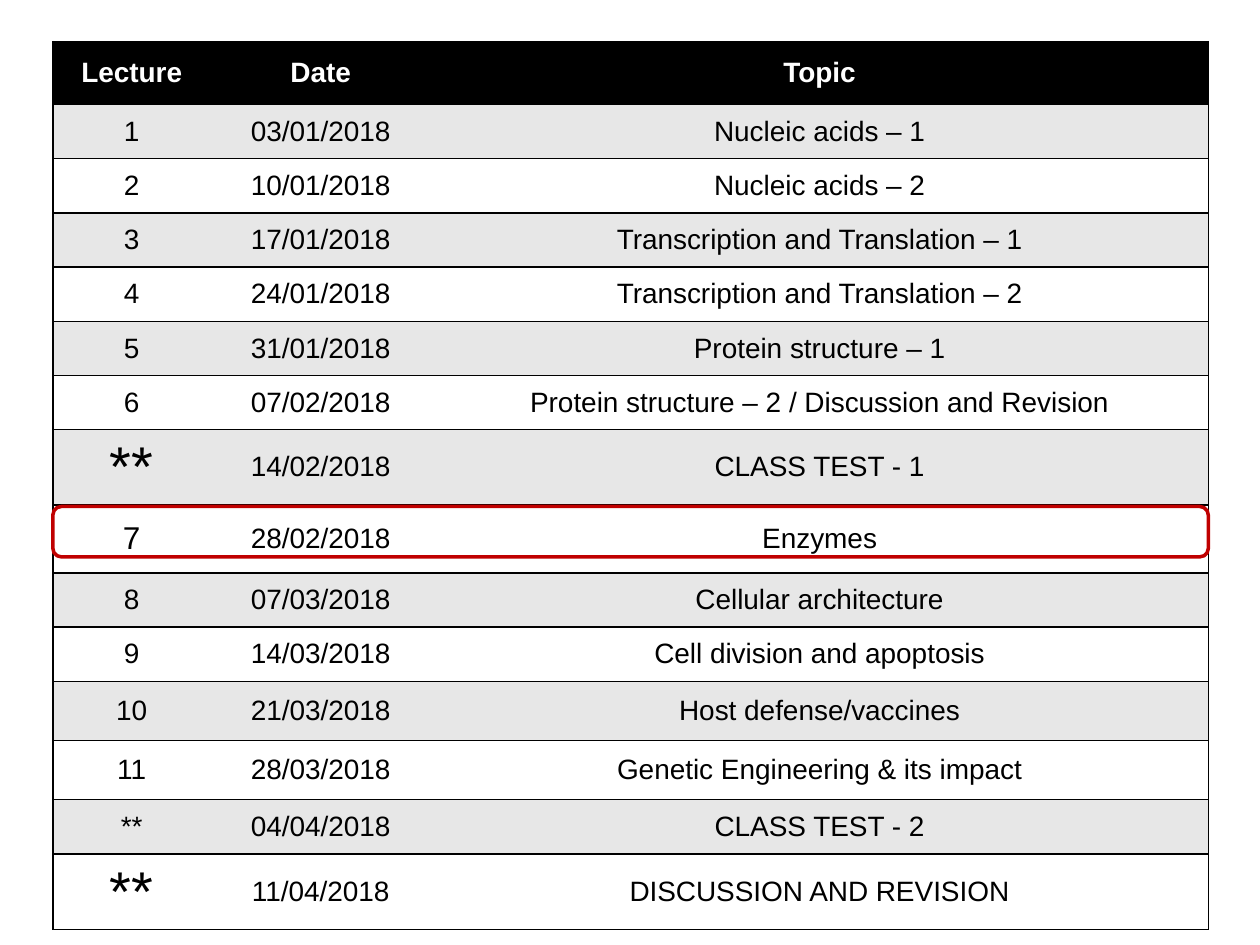
from lxml import etree
from pptx import Presentation
from pptx import util as u
from pptx.dml.color import RGBColor
from pptx.enum import shapes, text
from pptx.oxml.ns import qn

BLACK = RGBColor(0x00, 0x00, 0x00)
WHITE = RGBColor(0xFF, 0xFF, 0xFF)
GREY = RGBColor(0xE7, 0xE7, 0xE7)
RED = RGBColor(0xC0, 0x00, 0x00)

# Content
HEADER = ("Lecture", "Date", "Topic")
LECTURES = [
    ("1", "03/01/2018", "Nucleic acids – 1"),
    ("2", "10/01/2018", "Nucleic acids – 2"),
    ("3", "17/01/2018", "Transcription and Translation – 1"),
    ("4", "24/01/2018", "Transcription and Translation – 2"),
    ("5", "31/01/2018", "Protein structure – 1"),
    ("6", "07/02/2018", "Protein structure – 2 / Discussion and Revision"),
    ("**", "14/02/2018", "CLASS TEST - 1"),
    ("7", "28/02/2018", "Enzymes"),
    ("8", "07/03/2018", "Cellular architecture"),
    ("9", "14/03/2018", "Cell division and apoptosis"),
    ("10", "21/03/2018", "Host defense/vaccines"),
    ("11", "28/03/2018", "Genetic Engineering & its impact"),
    ("**", "04/04/2018", "CLASS TEST - 2"),
    ("**", "11/04/2018", "DISCUSSION AND REVISION"),
]

# Grid: usual sizes, then the rows that differ
LEFT, TOP = 0.42, 0.33
COLUMNS = (1.25, 1.75, 6.17)
ROW_HEIGHT = 0.43
TALL_ROWS = {0: 0.5, 7: 0.55, 8: 0.54, 11: 0.47, 12: 0.47, 14: 0.44}
BODY_SIZE = 16
MARK_SIZES = {7: 32, 8: 18, 14: 32}
BORDER = 1
HIGHLIGHT_TOP, HIGHLIGHT_HEIGHT = 4.02, 0.4


def write(cell, words, size=BODY_SIZE, color=BLACK, bold=False):
    cell.vertical_anchor = text.MSO_ANCHOR.MIDDLE
    p = cell.text_frame.paragraphs[0]
    p.alignment = text.PP_ALIGN.CENTER
    r = p.add_run()
    r.text = words
    r.font.name = "Arial"
    r.font.size = u.Pt(size)
    r.font.color.rgb = color
    r.font.bold = bold


def set_borders(cell, visible):
    tc_pr = cell._tc.get_or_add_tcPr()
    for side in "LRTB":
        ln = etree.SubElement(tc_pr, qn(f"a:ln{side}"), w=str(u.Pt(BORDER)))
        if side in visible:
            fill = etree.SubElement(ln, qn("a:solidFill"))
            etree.SubElement(fill, qn("a:srgbClr"), val=str(BLACK))
        else:
            etree.SubElement(ln, qn("a:noFill"))


prs = Presentation()
prs.slide_width, prs.slide_height = u.Inches(10), u.Inches(7.5)
s = prs.slides.add_slide(prs.slide_layouts[6])

# Timetable
rows = [HEADER] + LECTURES
heights = [TALL_ROWS.get(i, ROW_HEIGHT) for i in range(len(rows))]
width = sum(COLUMNS)
table = s.shapes.add_table(
    len(rows), len(COLUMNS), u.Inches(LEFT), u.Inches(TOP),
    u.Inches(width), u.Inches(sum(heights))).table
for column, w in zip(table.columns, COLUMNS):
    column.width = u.Inches(w)

edges = ("LTB", "TB", "RTB")
for i, (row, height) in enumerate(zip(rows, heights)):
    table.rows[i].height = u.Inches(height)
    header = i == 0
    band = BLACK if header else GREY if i % 2 else WHITE
    for j, words in enumerate(row):
        cell = table.cell(i, j)
        size = MARK_SIZES.get(i, BODY_SIZE) if j == 0 else BODY_SIZE
        write(cell, words, size=size, color=WHITE if header else BLACK,
              bold=header)
        set_borders(cell, edges[j])
        cell.fill.solid()
        cell.fill.fore_color.rgb = band

# Frame around the current lecture
sp = s.shapes.add_shape(
    shapes.MSO_SHAPE.ROUNDED_RECTANGLE, u.Inches(LEFT),
    u.Inches(HIGHLIGHT_TOP), u.Inches(width), u.Inches(HIGHLIGHT_HEIGHT))
sp.shadow.inherit = False
sp.fill.background()
sp.line.color.rgb = RED
sp.line.width = u.Pt(2)

prs.save("out.pptx")
